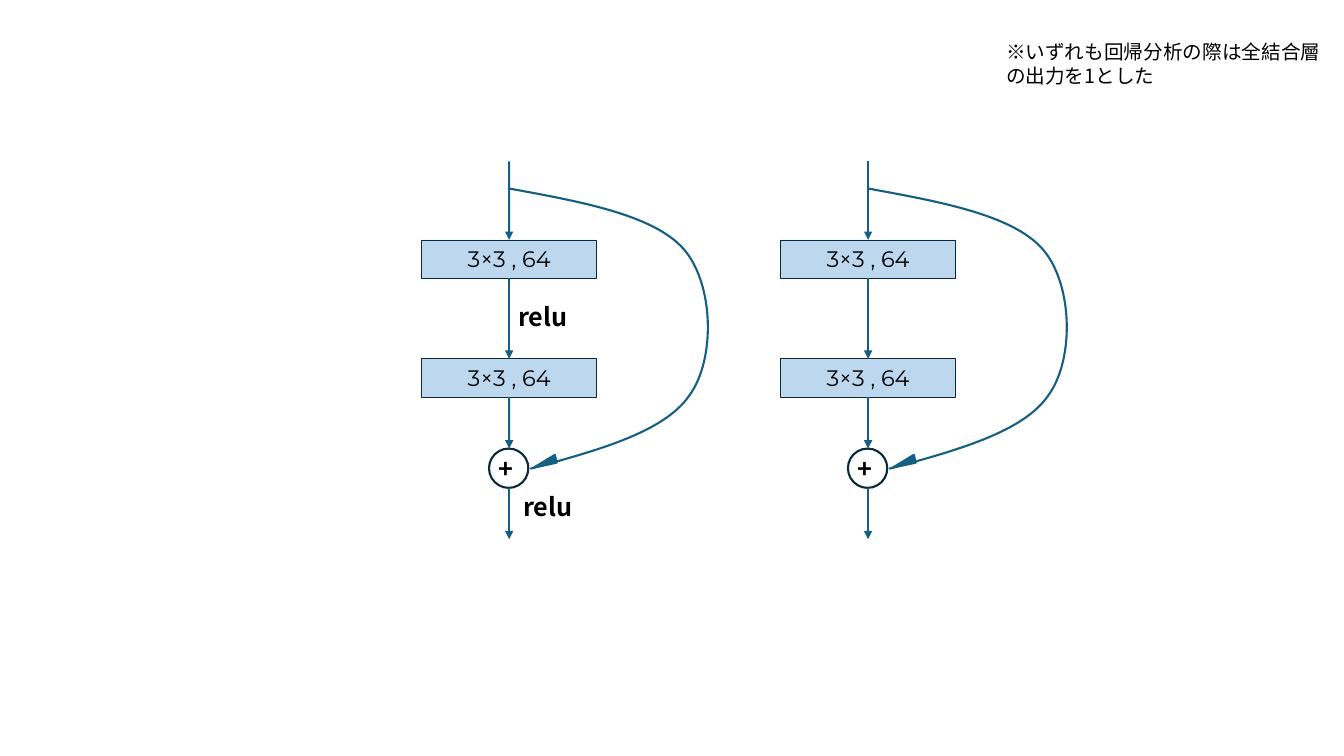
"""Draw two residual blocks side by side, the first with relu activations."""
from dataclasses import dataclass

from lxml import etree
from pptx import Presentation
from pptx.dml.color import RGBColor
from pptx.enum.shapes import MSO_CONNECTOR, MSO_SHAPE
from pptx.enum.text import MSO_ANCHOR, MSO_AUTO_SIZE, PP_ALIGN
from pptx.oxml.ns import qn
from pptx.shapes.autoshape import Shape
from pptx.shapes.connector import Connector
from pptx.slide import Slide
from pptx.util import Inches, Pt

STRAIGHT = MSO_CONNECTOR.STRAIGHT
RECTANGLE = MSO_SHAPE.RECTANGLE
OVAL = MSO_SHAPE.OVAL
RIGHT_TRIANGLE = MSO_SHAPE.RIGHT_TRIANGLE
MIDDLE = MSO_ANCHOR.MIDDLE
CENTER = PP_ALIGN.CENTER
GROW = MSO_AUTO_SIZE.SHAPE_TO_FIT_TEXT

BLACK = RGBColor(0x00, 0x00, 0x00)
WHITE = RGBColor(0xFF, 0xFF, 0xFF)
LAYER_BLUE = RGBColor(0xBD, 0xD7, 0xEE)
OUTLINE = RGBColor(0x09, 0x2A, 0x39)
FLOW_BLUE = RGBColor(0x15, 0x60, 0x82)

LABEL_FONT = "Noto Sans CJK JP"
LAYER_FONT = "Montserrat"
TOP, BOTTOM = 0, 2

LAYER_WIDTH, LAYER_HEIGHT = 1.74, 0.38
LAYER_TOPS = (2.38, 3.56)
INPUT_TOP, OUTPUT_BOTTOM = 1.6, 5.35
SUM_OFFSET, SUM_TOP, SUM_SIZE = 0.2, 4.45, 0.39

Point = tuple[float, float]
SKIP_TOP, SKIP_WIDTH = 1.87, 1.97
SKIP_CURVES: tuple[tuple[Point, Point, Point], ...] = (
    ((0.71, 0.13), (1.43, 0.26), (1.73, 0.6)),
    ((2.03, 0.94), (2.05, 1.69), (1.79, 2.05)),
    ((1.54, 2.42), (0.87, 2.6), (0.21, 2.78)),
)


@dataclass(frozen=True)
class Label:
    text: str
    left: float
    top: float
    width: float
    height: float
    size: int = 18
    bold: bool = True


@dataclass(frozen=True)
class ResidualBlock:
    center: float
    activations: tuple[Label, ...] = ()


BLOCKS = (
    ResidualBlock(5.05, (
        Label("relu", 5.09, 4.83, 0.7, 0.4),
        Label("relu", 5.04, 2.94, 0.7, 0.4),
    )),
    ResidualBlock(8.61),
)
NOTE = Label("※いずれも回帰分析の際は全結合層の出力を1とした",
             9.88, 0.35, 3.35, 0.57, 14, False)


def write(shape: Shape, text: str, font_name: str, size: int, bold: bool = False) -> None:
    """Put one formatted run of text into a shape."""
    shape.text_frame.word_wrap = True
    run = shape.text_frame.paragraphs[0].add_run()
    run.text = text
    font_format = {"name": font_name, "size": Pt(size), "bold": bold}
    for attribute, value in font_format.items():
        setattr(run.font, attribute, value)
    run.font.color.rgb = BLACK
    east_asian = etree.SubElement(run.font._element, qn("a:ea"))
    east_asian.set("typeface", font_name)


def add_label(slide: Slide, label: Label) -> None:
    """Add a plain text label."""
    box = slide.shapes.add_textbox(Inches(label.left), Inches(label.top),
                                   Inches(label.width), Inches(label.height))
    write(box, label.text, LABEL_FONT, label.size, label.bold)
    box.text_frame.auto_size = GROW


def add_preset(slide: Slide, kind: MSO_SHAPE, left: float, top: float, width: float,
               height: float, fill: RGBColor, line: RGBColor, weight: float) -> Shape:
    """Add a filled and outlined preset shape without a shadow."""
    shape = slide.shapes.add_shape(kind, Inches(left), Inches(top),
                                   Inches(width), Inches(height))
    shape.shadow.inherit = False
    shape.fill.solid()
    shape.fill.fore_color.rgb = fill
    shape.line.color.rgb = line
    shape.line.width = Pt(weight)
    return shape


def add_layer(slide: Slide, center: float, top: float) -> Shape:
    """Add one convolution layer."""
    layer = add_preset(slide, RECTANGLE, center - LAYER_WIDTH / 2, top,
                       LAYER_WIDTH, LAYER_HEIGHT, LAYER_BLUE, OUTLINE, 0.5)
    layer.text_frame.vertical_anchor = MIDDLE
    layer.text_frame.paragraphs[0].alignment = CENTER
    write(layer, "3×3 , 64", LAYER_FONT, 16)
    return layer


def add_arrow(slide: Slide, x: float, start: float, end: float) -> Connector:
    """Add a downward arrow."""
    arrow = slide.shapes.add_connector(STRAIGHT, Inches(x), Inches(start),
                                       Inches(x), Inches(end))
    arrow.line.color.rgb = FLOW_BLUE
    arrow.line.width = Pt(1.5)
    etree.SubElement(arrow.line._get_or_add_ln(), qn("a:tailEnd"), type="triangle")
    etree.SubElement(arrow._element.spPr, qn("a:effectLst"))
    return arrow


def add_skip(slide: Slide, center: float) -> None:
    """Add the curved shortcut and its arrowhead."""
    builder = slide.shapes.build_freeform(Inches(center), Inches(SKIP_TOP))
    builder.add_line_segments([(Inches(center + x), Inches(SKIP_TOP + y))
                               for _, _, (x, y) in SKIP_CURVES], close=False)
    shortcut = builder.convert_to_shape()
    outline = next(shortcut._element.iter(qn("a:path")))
    for segment, curve in zip(outline.findall(qn("a:lnTo")), SKIP_CURVES):
        bend = etree.Element(qn("a:cubicBezTo"))
        for x, y in curve:
            etree.SubElement(bend, qn("a:pt"), x=str(Inches(x)), y=str(Inches(y)))
        outline.replace(segment, bend)
    shortcut.width = Inches(SKIP_WIDTH)
    outline.set("w", str(Inches(SKIP_WIDTH)))
    shortcut.shadow.inherit = False
    shortcut.fill.background()
    shortcut.line.color.rgb = FLOW_BLUE
    shortcut.line.width = Pt(1.5)
    arrowhead = add_preset(slide, RIGHT_TRIANGLE, center + 0.31, 4.46, 0.08, 0.23,
                           FLOW_BLUE, FLOW_BLUE, 1.5)
    arrowhead.rotation = 258


def add_block(slide: Slide, block: ResidualBlock) -> None:
    """Add one residual block with its arrows, sum node and labels."""
    center = block.center
    first, second = (add_layer(slide, center, top) for top in LAYER_TOPS)
    first_bottom, second_bottom = (top + LAYER_HEIGHT for top in LAYER_TOPS)
    between = add_arrow(slide, center, first_bottom, LAYER_TOPS[1])
    between.begin_connect(first, BOTTOM)
    between.end_connect(second, TOP)
    add_arrow(slide, center, INPUT_TOP, LAYER_TOPS[0]).end_connect(first, TOP)
    add_arrow(slide, center, second_bottom, SUM_TOP).begin_connect(second, BOTTOM)
    sum_left = center - SUM_OFFSET
    add_preset(slide, OVAL, sum_left, SUM_TOP, SUM_SIZE, SUM_SIZE, WHITE, OUTLINE, 1.5)
    add_label(slide, Label("+", sum_left, SUM_TOP, 0.28, 0.4))
    add_arrow(slide, center, SUM_TOP + SUM_SIZE, OUTPUT_BOTTOM)
    add_skip(slide, center)
    for activation in block.activations:
        add_label(slide, activation)


def main() -> None:
    """Build and save the slide."""
    deck = Presentation()
    deck.slide_width, deck.slide_height = Inches(13.33), Inches(7.5)
    slide = deck.slides.add_slide(deck.slide_layouts[6])
    add_label(slide, NOTE)
    for block in BLOCKS:
        add_block(slide, block)
    deck.save("out.pptx")


if __name__ == "__main__":
    main()
